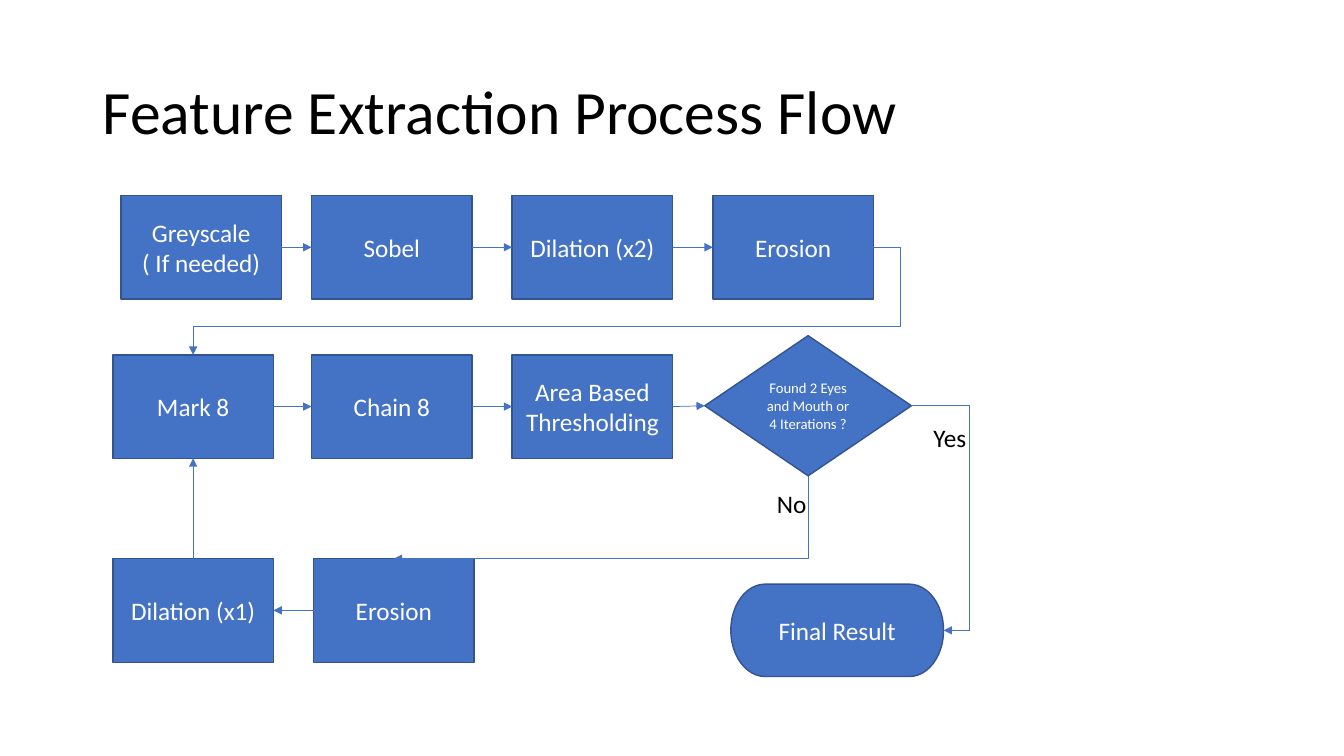
from pptx import Presentation
from pptx.dml.color import RGBColor
from pptx.enum.shapes import MSO_CONNECTOR, MSO_SHAPE
from pptx.enum.text import MSO_ANCHOR, PP_ALIGN
from pptx.oxml.ns import qn
from pptx.util import Inches, Pt
from lxml import etree

PROCESS = MSO_SHAPE.FLOWCHART_PROCESS
DECISION = MSO_SHAPE.FLOWCHART_DECISION
TERMINATOR = MSO_SHAPE.FLOWCHART_TERMINATOR
STRAIGHT, ELBOW = MSO_CONNECTOR.STRAIGHT, MSO_CONNECTOR.ELBOW
MIDDLE, TOP_ANCHOR = MSO_ANCHOR.MIDDLE, MSO_ANCHOR.TOP
CENTER, LEFT_ALIGN = PP_ALIGN.CENTER, PP_ALIGN.LEFT
TOP, LEFT, BOTTOM, RIGHT = range(4)  # connection sites

COLORS = {"fill": "4472C4", "outline": "325491", "light": "FFFFFF", "dark": "000000"}
FONT = "Calibri"

# Grid: origin and pitch in inches
ORIGIN_X, ORIGIN_Y = 1.1, 1.94
COLUMN, ROW = 1.99, 1.58
STEP_SIZE = (0.8, 0.65)


class FlowPage:
    def __init__(self, deck):
        self.page = deck.slides.add_slide(deck.slide_layouts[6])

    @staticmethod
    def color(name):
        return RGBColor.from_string(COLORS[name])

    @staticmethod
    def area(column, row, width, height):
        return (Inches(ORIGIN_X + column * COLUMN), Inches(ORIGIN_Y + row * ROW),
                Inches(width * COLUMN), Inches(height * ROW))

    def add_lines(self, box, lines, size, color, align, anchor, spacing=1.0):
        frame = box.text_frame
        frame.vertical_anchor = anchor
        for index, line in enumerate(lines):
            para = frame.add_paragraph() if index else frame.paragraphs[0]
            para.alignment = align
            para.line_spacing = spacing
            span = para.add_run()
            span.text = line
            span.font.name = FONT
            span.font.size = Pt(size)
            span.font.color.rgb = self.color(color)

    def text(self, words, column, row, width, height, size=18,
             anchor=TOP_ANCHOR, spacing=1.0, wrap=False):
        box = self.page.shapes.add_textbox(*self.area(column, row, width, height))
        box.text_frame.word_wrap = wrap
        self.add_lines(box, [words], size, "dark", LEFT_ALIGN, anchor, spacing)

    def step(self, lines, column, row, kind=PROCESS, extent=STEP_SIZE, size=18):
        box = self.page.shapes.add_shape(kind, *self.area(column, row, *extent))
        box.shadow.inherit = False
        box.fill.solid()
        box.fill.fore_color.rgb = self.color("fill")
        box.line.color.rgb = self.color("outline")
        box.line.width = Pt(1)
        box.text_frame.word_wrap = True
        self.add_lines(box, lines, size, "light", CENTER, MIDDLE)
        return box

    def arrow(self, start, start_site, end, end_site, kind=STRAIGHT):
        link = self.page.shapes.add_connector(kind, 0, 0, 0, 0)
        link.begin_connect(start, start_site)
        link.end_connect(end, end_site)
        link.line.color.rgb = self.color("fill")
        link.line.width = Pt(0.5)
        properties = link._element.spPr
        etree.SubElement(properties.find(qn("a:ln")), qn("a:tailEnd")).set("type", "triangle")
        etree.SubElement(properties, qn("a:effectLst"))
        return link

    def elbow(self, start, start_site, end, end_site, preset, adjustments=()):
        link = self.arrow(start, start_site, end, end_site, ELBOW)
        geometry = link._element.spPr.find(qn("a:prstGeom"))
        geometry.set("prst", preset)
        guides = geometry.find(qn("a:avLst"))
        for number, share in enumerate(adjustments, 1):
            guide = etree.SubElement(guides, qn("a:gd"))
            guide.set("name", f"adj{number}")
            guide.set("fmla", f"val {round(share * 100000)}")
        return link

    @staticmethod
    def quarter_turn(link):
        """Run a down-and-left link vertically first, about the same centre."""
        width, height = link.width, link.height
        link.left += (width - height) // 2
        link.top += (height - width) // 2
        link.width, link.height = height, width
        frame = link._element.spPr.find(qn("a:xfrm"))
        frame.set("flipH", "0")
        frame.set("rot", str(90 * 60000))


def main():
    deck = Presentation()
    deck.slide_width, deck.slide_height = Inches(13.33), Inches(7.5)
    flow = FlowPage(deck)

    # Title
    flow.text("Feature Extraction Process Flow", -0.09, -0.97, 5.78, 0.92,
              size=44, anchor=MIDDLE, spacing=0.9, wrap=True)

    # Preparation row
    greyscale = flow.step(["Greyscale", "( If needed)"], 0.05, 0)
    sobel, dilation, erosion = [
        flow.step([name], column, 0)
        for column, name in enumerate(["Sobel", "Dilation (x2)", "Erosion"], 1)]

    # Detection row
    mark = flow.step(["Mark 8"], 0.01, 1)
    chain = flow.step(["Chain 8"], 1, 1)
    threshold = flow.step(["Area Based Thresholding"], 2, 1)
    found = flow.step(["Found 2 Eyes and Mouth or 4 Iterations ?"], 2.96, 0.88,
                      DECISION, (1.03, 0.88), 10.5)

    # Retry row and result
    retry_erosion = flow.step(["Erosion"], 1.01, 2.28)
    retry_dilation = flow.step(["Dilation (x1)"], 0.01, 2.28)
    result = flow.step(["Final Result"], 3.09, 2.44, TERMINATOR, (1.06, 0.58))

    # Branch labels
    flow.text("Yes", 4.05, 1.39, 0.31, 0.25)
    flow.text("No", 3.27, 1.81, 0.31, 0.25)

    # Straight arrows
    for steps in ([greyscale, sobel, dilation, erosion],
                  [mark, chain, threshold, found]):
        for start, end in zip(steps, steps[1:]):
            flow.arrow(start, RIGHT, end, LEFT)
    flow.arrow(retry_erosion, LEFT, retry_dilation, RIGHT)
    flow.arrow(retry_dilation, TOP, mark, BOTTOM)

    # Bent arrows
    flow.elbow(erosion, RIGHT, mark, TOP, "bentConnector4", (-0.04, 0.74))
    flow.elbow(found, RIGHT, result, RIGHT, "bentConnector3", (1.8,))
    flow.quarter_turn(flow.elbow(found, BOTTOM, retry_erosion, TOP, "bentConnector2"))

    deck.save("out.pptx")


if __name__ == "__main__":
    main()
